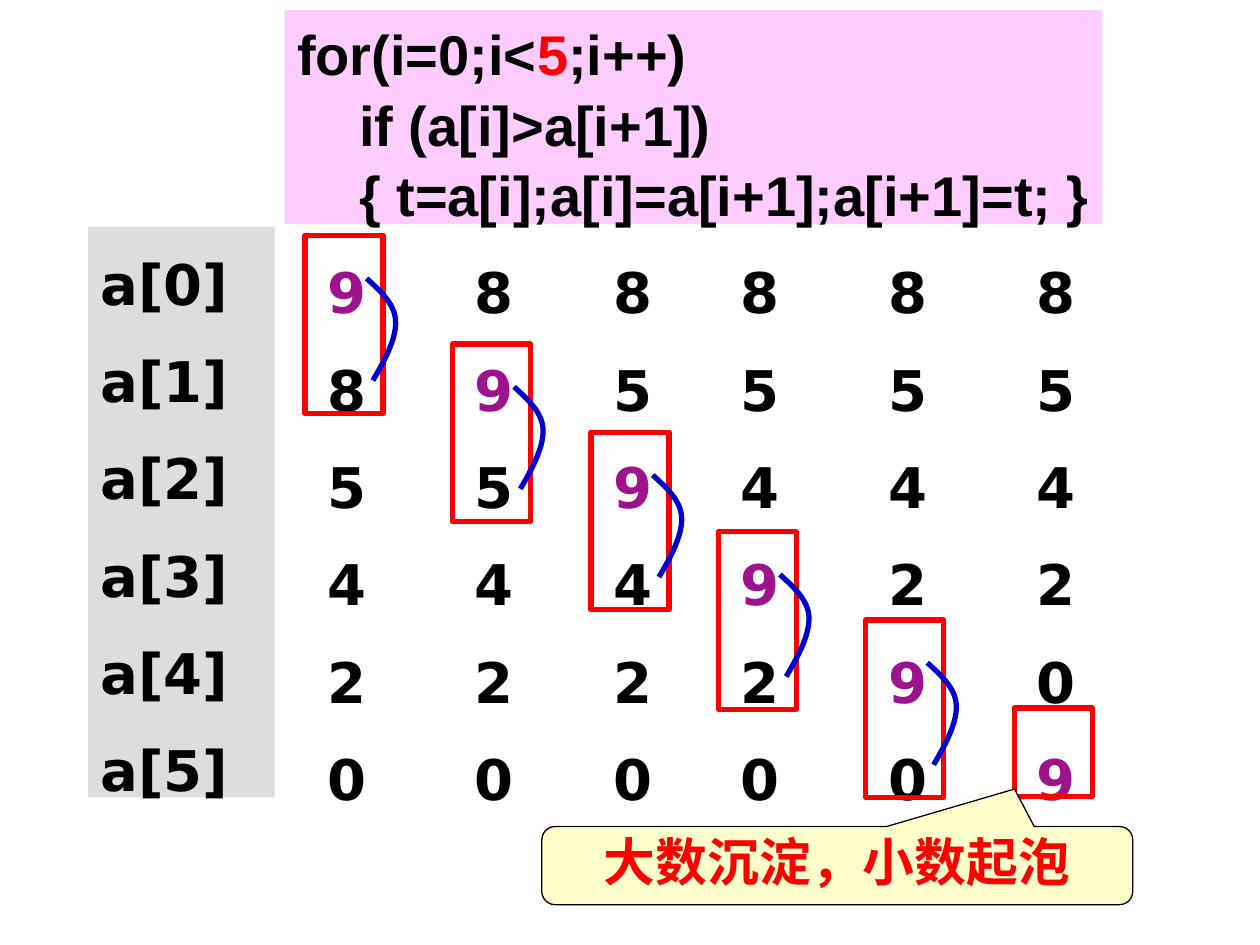
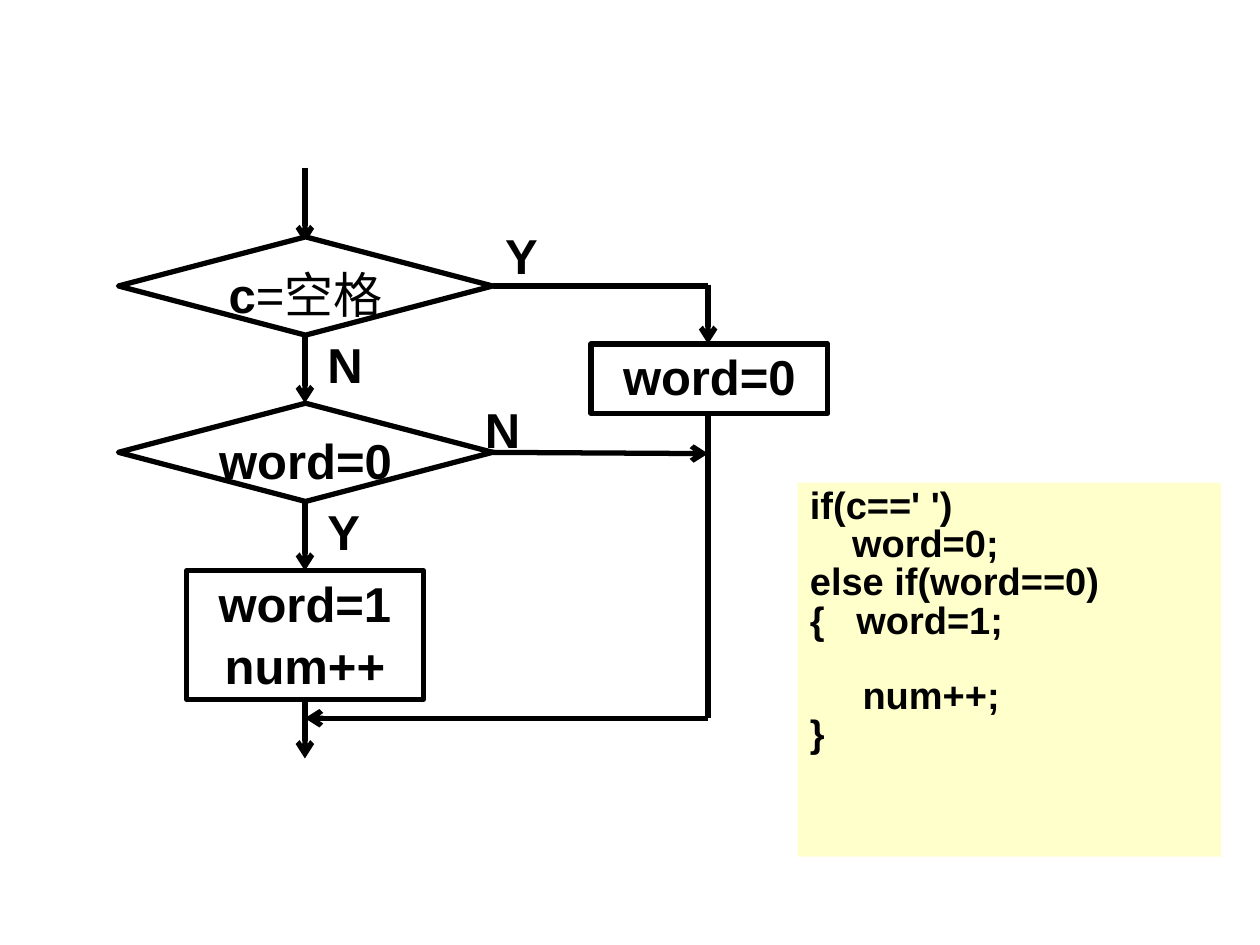
import pptx
import pptx.dml.color
import pptx.enum.shapes
import pptx.enum.text
import pptx.oxml
import pptx.oxml.ns
import pptx.util

Inches = pptx.util.Inches
Pt = pptx.util.Pt
Shape = pptx.enum.shapes.MSO_SHAPE
Align = pptx.enum.text.PP_ALIGN

BLACK, WHITE, RED = "000000", "FFFFFF", "FF0000"
PURPLE, BLUE = "9D138D", "0000CC"
PINK, CREAM, GREY = "FFCCFF", "FFFFCC", "DDDDDD"


def color(hex_string):
    return pptx.dml.color.RGBColor.from_string(hex_string)


def bezier(start, first, second, end, steps=12):
    for step in range(1, steps + 1):
        t = step / steps
        weights = ((1 - t) ** 3, 3 * t * (1 - t) ** 2, 3 * t ** 2 * (1 - t), t ** 3)
        yield tuple(sum(w * point[axis] for w, point in zip(weights, (start, first, second, end)))
                    for axis in (0, 1))


class Deck:
    code_font = "Arial"
    digit_font = "DejaVu Sans"
    line_width = 3

    def __init__(self):
        self.presentation = pptx.Presentation()
        self.presentation.slide_width = Inches(10)
        self.presentation.slide_height = Inches(7.5)
        self.slide = None

    def new_slide(self):
        self.slide = self.presentation.slides.add_slide(self.presentation.slide_layouts[6])

    def set_text(self, shape, paragraphs, size, font=code_font, align=Align.LEFT,
                 spacing=1.05, before=0, margins=(0.1, 0.05), wrap=True):
        frame = shape.text_frame
        frame.word_wrap = wrap
        frame.vertical_anchor = pptx.enum.text.MSO_ANCHOR.TOP
        frame.margin_left = frame.margin_right = Inches(margins[0])
        frame.margin_top = frame.margin_bottom = Inches(margins[1])
        for index, runs in enumerate(paragraphs):
            paragraph = frame.add_paragraph() if index else frame.paragraphs[0]
            paragraph.alignment = align
            paragraph.line_spacing = spacing
            paragraph.space_before = Pt(before if index else 0)
            for text, text_color, bold in runs:
                run = paragraph.add_run()
                run.text = text
                run.font.name = font
                run.font.size = Pt(size)
                run.font.bold = bold
                run.font.color.rgb = color(text_color)

    def text(self, box, paragraphs, size, **style):
        shape = self.slide.shapes.add_textbox(*map(Inches, box))
        self.set_text(shape, paragraphs, size, **style)

    def shape(self, kind, box, fill=None, line=None, width=line_width):
        shape = self.slide.shapes.add_shape(kind, *map(Inches, box))
        shape.shadow.inherit = False
        if fill:
            shape.fill.solid()
            shape.fill.fore_color.rgb = color(fill)
        else:
            shape.fill.background()
        if line:
            shape.line.color.rgb = color(line)
            shape.line.width = Pt(width)
        else:
            shape.line.fill.background()
        return shape

    def flow_step(self, kind, box, paragraphs):
        shape = self.shape(kind, box, WHITE, BLACK)
        self.set_text(shape, paragraphs, 28, align=Align.CENTER, margins=(0, 0), wrap=False)

    def line(self, start, end, arrow=True):
        connector = self.slide.shapes.add_connector(
            pptx.enum.shapes.MSO_CONNECTOR.STRAIGHT, *map(Inches, start + end))
        connector.line.color.rgb = color(BLACK)
        connector.line.width = Pt(self.line_width)
        properties = connector.element.spPr
        if arrow:
            tail = pptx.oxml.parse_xml(
                '<a:tailEnd %s type="arrow"/>' % pptx.oxml.ns.nsdecls("a"))
            properties.get_or_add_ln().append(tail)
        effects = pptx.oxml.parse_xml("<a:effectLst %s/>" % pptx.oxml.ns.nsdecls("a"))
        properties.append(effects)

    def swap_curve(self, left, top):
        start, middle, end = (0.05, 0.81), (0.23, 0.33), (0, 0)
        points = [start, *bezier(start, (0.15, 0.64), (0.24, 0.47), middle),
                  *bezier(middle, (0.22, 0.2), (0.11, 0.1), end)]
        points = [(Inches(left + x), Inches(top + y)) for x, y in points]
        builder = self.slide.shapes.build_freeform(*points[0])
        builder.add_line_segments(points[1:], close=False)
        shape = builder.convert_to_shape()
        shape.shadow.inherit = False
        shape.fill.background()
        shape.line.color.rgb = color(BLUE)
        shape.line.width = Pt(self.line_width)


def plain(*lines):
    return [[(text, BLACK, True)] for text in lines]


def bubble_slide(deck):
    deck.new_slide()
    digit_style = dict(font=deck.digit_font, spacing=1.24, before=8)
    column_lefts = (2.5, 3.67, 4.77, 5.78, 6.95, 8.13)
    frame_tops = (1.87, 2.73, 3.43, 4.22, 4.92, 5.62)
    values = list("985420")
    last = len(values) - 1
    for step, (left, top) in enumerate(zip(column_lefts, frame_tops)):
        digits = [[(value, PURPLE if value == "9" else BLACK, True)] for value in values]
        deck.text((left, 1.87, 0.78, 4.53), digits, 32, **digit_style)
        height = 1.41 if step < last else 0.7
        deck.shape(Shape.FLOWCHART_PROCESS, (left - 0.08, top, 0.62, height), line=RED)
        if step < last:
            deck.swap_curve(left + 0.41, top + 0.34)
            values[step], values[step + 1] = values[step + 1], values[step]

    callout = deck.shape(Shape.ROUNDED_RECTANGULAR_CALLOUT, (4.3, 6.56, 4.69, 0.62),
                         CREAM, BLACK, 0.75)
    for index, adjustment in enumerate((0.3, -0.98, 0.17)):
        callout.adjustments[index] = adjustment
    deck.set_text(callout, [[("大数沉淀，小数起泡", RED, True)]], 29.6,
                  align=Align.CENTER, spacing=0.9)

    names = deck.shape(Shape.RECTANGLE, (0.7, 1.8, 1.48, 4.53), GREY)
    deck.set_text(names, plain(*(f"a[{index}]" for index in range(6))), 32, **digit_style)

    code = deck.shape(Shape.RECTANGLE, (2.26, 0.08, 6.49, 1.7), PINK)
    loop = [("for(i=0;i<", BLACK, True), ("5", RED, True), (";i++)", BLACK, True)]
    body = plain("    if (a[i]>a[i+1])", "    { t=a[i];a[i]=a[i+1];a[i+1]=t; }")
    deck.set_text(code, [loop, *body], 32, wrap=False)


def word_count_slide(deck):
    deck.new_slide()
    main_x, side_x, merge_y = 2.42, 5.62, 5.7
    for start, end in ((1.33, 1.93), (2.66, 3.2), (3.98, 4.53), (5.55, 6.02)):
        deck.line((main_x, start), (main_x, end))
    deck.line((3.83, 3.59), (side_x, 3.6))
    deck.line((side_x, merge_y), (main_x, merge_y))
    deck.line((3.91, 2.27), (side_x, 2.27), arrow=False)
    deck.line((side_x, 2.26), (side_x, 2.73))
    deck.line((side_x, merge_y), (side_x, 3.28), arrow=False)

    space_test = [[("c", BLACK, True), ("=空格", BLACK, False)]]
    deck.flow_step(Shape.FLOWCHART_DECISION, (0.94, 1.88, 2.97, 0.78), space_test)
    deck.flow_step(Shape.FLOWCHART_DECISION, (0.94, 3.2, 2.97, 0.78), plain("word=0"))
    deck.flow_step(Shape.FLOWCHART_PROCESS, (4.69, 2.73, 1.88, 0.55), plain("word=0"))
    deck.flow_step(Shape.FLOWCHART_PROCESS, (1.48, 4.53, 1.88, 1.02),
                   plain("word=1", "num++"))

    for answer, left, top in (("Y", 3.91, 1.72), ("N", 2.5, 2.58),
                              ("Y", 2.5, 3.91), ("N", 3.75, 3.1)):
        deck.text((left, top, 0.55, 0.57), plain(answer), 28)

    code = deck.shape(Shape.RECTANGLE, (6.33, 3.83, 3.36, 2.97), CREAM)
    deck.set_text(code, plain("if(c==' ')", "    word=0;", "else if(word==0)",
                              "{   word=1;", "     num++;", "}"), 21.7, spacing=0.84)
    code.text_frame.paragraphs[4].space_before = Pt(21)


def main():
    deck = Deck()
    bubble_slide(deck)
    word_count_slide(deck)
    deck.presentation.save("out.pptx")


if __name__ == "__main__":
    main()
